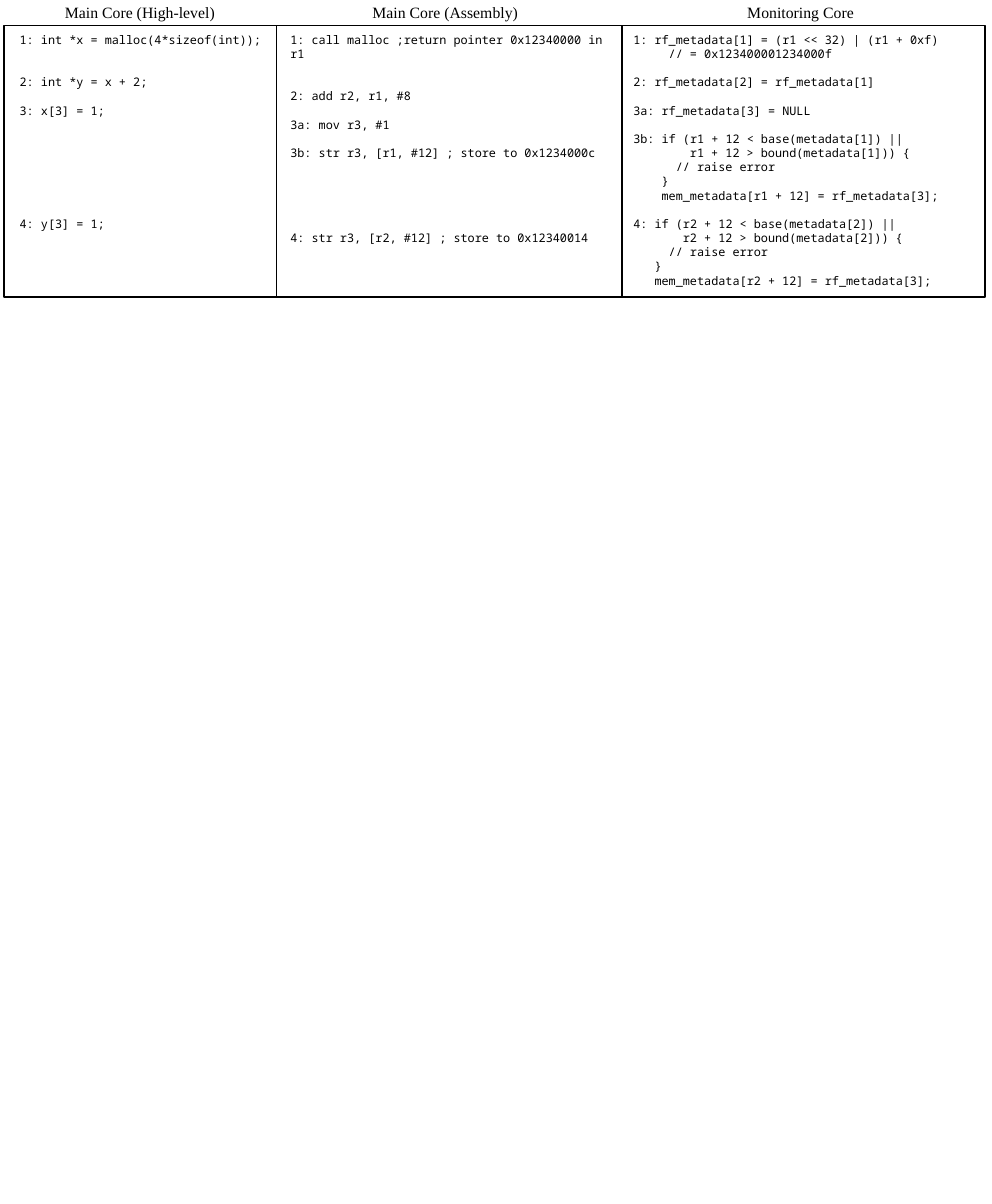
from lxml import etree
from pptx import Presentation
from pptx import util as u
from pptx.dml import color
from pptx.enum import shapes, text
from pptx.oxml import ns

COLORS = {"ink": "000000", "paper": "FFFFFF"}
CODE_FONT, HEADING_FONT = "Noto Sans Mono", "Times New Roman"
CODE_SIZE, HEADING_SIZE = 6, 8
LINE_PITCH, CHARACTER_WIDTH = 7.2, 3.6
FRAME_LEFT, FRAME_TOP, FRAME_WIDTH, FRAME_HEIGHT = 2.16, 12.96, 498.24, 138.24
HEADING_TOP, HEADING_WIDTH, HEADING_HEIGHT = -2.16, 92, 17.28
DIVIDERS = [140.4, 316.08]
LEFT, CENTER = text.PP_ALIGN.LEFT, text.PP_ALIGN.CENTER

HEADINGS = [
    ("Main Core (High-level)", 25.92, LEFT),
    ("Main Core (Assembly)", 182.16, LEFT),
    ("Monitoring Core", 360.8, CENTER),
]

# Each code line: blank lines above, indent in characters, wording.
CODE_COLUMNS = [
    (2.88, 137.52, 108.72, [
        (0, 0, "1: int *x = malloc(4*sizeof(int));"),
        (2, 0, "2: int *y = x + 2;"),
        (1, 0, "3: x[3] = 1;"),
        (7, 0, "4: y[3] = 1;"),
    ]),
    (140.4, 174.24, 108.72, [
        (0, 0, "1: call malloc ;return pointer 0x12340000 in r1"),
        (2, 0, "2: add r2, r1, #8"),
        (1, 0, "3a: mov r3, #1"),
        (1, 0, "3b: str r3, [r1, #12] ; store to 0x1234000c"),
        (5, 0, "4: str r3, [r2, #12] ; store to 0x12340014"),
    ]),
    (314.64, 185.76, 138.24, [
        (0, 0, "1: rf_metadata[1] = (r1 << 32) | (r1 + 0xf)"),
        (0, 5, "// = 0x123400001234000f"),
        (1, 0, "2: rf_metadata[2] = rf_metadata[1]"),
        (1, 0, "3a: rf_metadata[3] = NULL"),
        (1, 0, "3b: if (r1 + 12 < base(metadata[1]) ||"),
        (0, 8, "r1 + 12 > bound(metadata[1])) {"),
        (0, 6, "// raise error"),
        (0, 4, "}"),
        (0, 4, "mem_metadata[r1 + 12] = rf_metadata[3];"),
        (1, 0, "4: if (r2 + 12 < base(metadata[2]) ||"),
        (0, 7, "r2 + 12 > bound(metadata[2])) {"),
        (0, 5, "// raise error"),
        (0, 3, "}"),
        (0, 3, "mem_metadata[r2 + 12] = rf_metadata[3];"),
    ]),
]


def rgb(name):
    """Return the named colour."""
    return color.RGBColor.from_string(COLORS[name])


def add_frame(slide):
    """Add the outlined box around all code columns."""
    frame = slide.shapes.add_shape(
        shapes.MSO_SHAPE.RECTANGLE,
        u.Pt(FRAME_LEFT), u.Pt(FRAME_TOP), u.Pt(FRAME_WIDTH), u.Pt(FRAME_HEIGHT))
    frame.shadow.inherit = False
    frame.fill.solid()
    frame.fill.fore_color.rgb = rgb("paper")
    frame.line.color.rgb = rgb("ink")
    frame.line.width = u.Pt(1)


def add_divider(slide, x):
    """Add a vertical line between two columns."""
    divider = slide.shapes.add_connector(
        shapes.MSO_CONNECTOR.STRAIGHT,
        u.Pt(x), u.Pt(FRAME_TOP), u.Pt(x), u.Pt(FRAME_TOP + FRAME_HEIGHT))
    divider.line.color.rgb = rgb("ink")
    divider.line.width = u.Pt(0.75)
    etree.SubElement(divider._element.spPr, ns.qn("a:effectLst"))


def add_text_frame(slide, left, top, width, height):
    """Add a wrapping text box and return its text frame."""
    box = slide.shapes.add_textbox(u.Pt(left), u.Pt(top), u.Pt(width), u.Pt(height))
    box.text_frame.word_wrap = True
    return box.text_frame


def add_run(paragraph, wording, font, size):
    """Add one run of black text to a paragraph."""
    run = paragraph.add_run()
    run.text = wording
    run.font.name = font
    run.font.size = u.Pt(size)
    run.font.color.rgb = rgb("ink")


def add_heading(slide, wording, left, alignment):
    """Add a column heading above the frame."""
    frame = add_text_frame(slide, left, HEADING_TOP, HEADING_WIDTH, HEADING_HEIGHT)
    paragraph = frame.paragraphs[0]
    paragraph.alignment = alignment
    add_run(paragraph, wording, HEADING_FONT, HEADING_SIZE)


def add_code(slide, left, width, height, lines):
    """Add a code listing whose gaps and indents are paragraph settings."""
    frame = add_text_frame(slide, left, FRAME_TOP, width, height)
    for index, (blank_lines, indent, wording) in enumerate(lines):
        paragraph = frame.add_paragraph() if index else frame.paragraphs[0]
        paragraph.line_spacing = u.Pt(LINE_PITCH)
        paragraph.space_before = u.Pt(blank_lines * LINE_PITCH)
        properties = paragraph._p.get_or_add_pPr()
        properties.set("marL", str(u.Pt(indent * CHARACTER_WIDTH)))
        properties.set("indent", "0")
        add_run(paragraph, wording, CODE_FONT, CODE_SIZE)


def main():
    """Build the code comparison slide and save it."""
    presentation = Presentation()
    presentation.slide_width, presentation.slide_height = u.Pt(504), u.Pt(612)
    slide = presentation.slides.add_slide(presentation.slide_layouts[6])
    add_frame(slide)
    for x in DIVIDERS:
        add_divider(slide, x)
    for column in CODE_COLUMNS:
        add_code(slide, *column)
    for heading in HEADINGS:
        add_heading(slide, *heading)
    presentation.save("out.pptx")


if __name__ == "__main__":
    main()
